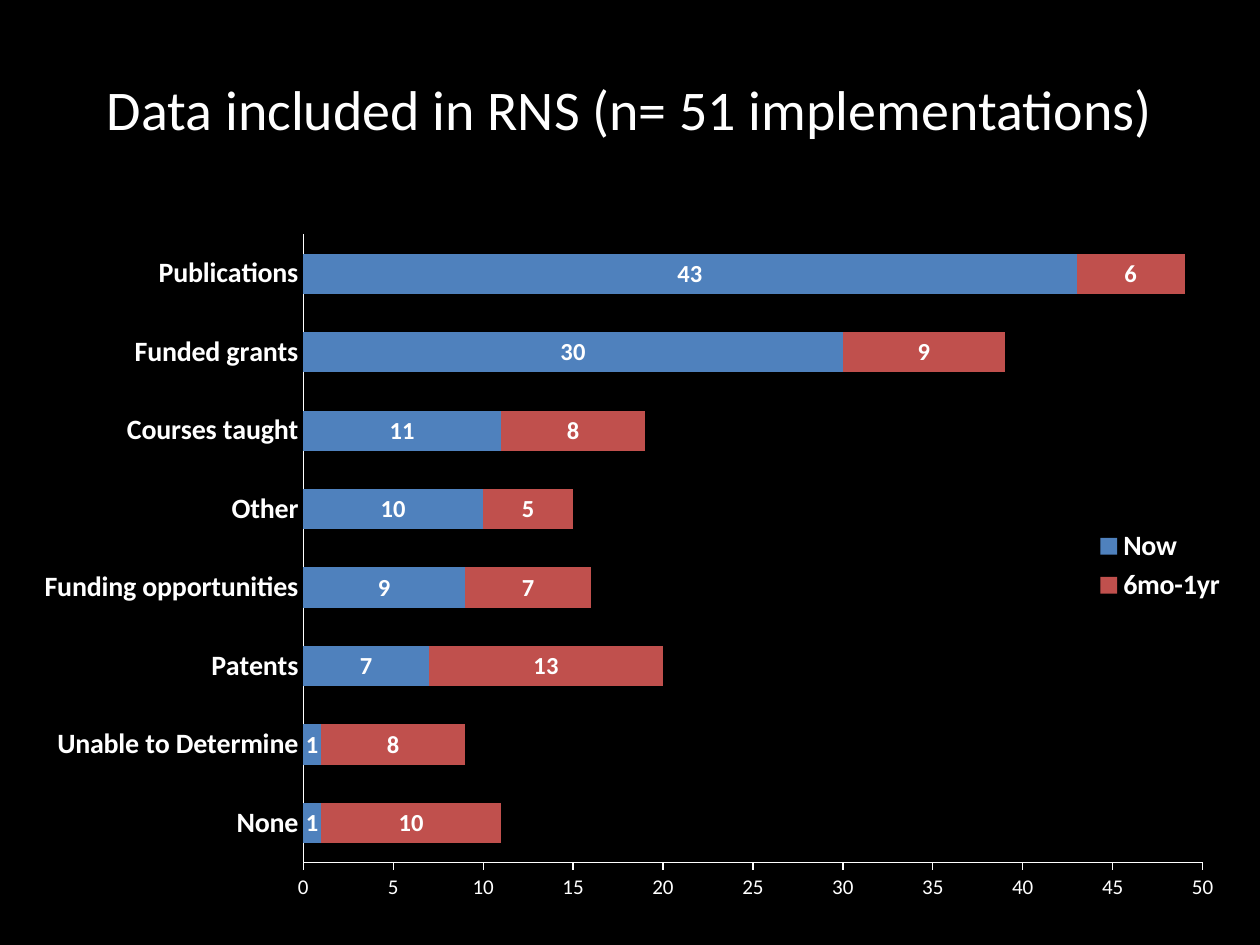
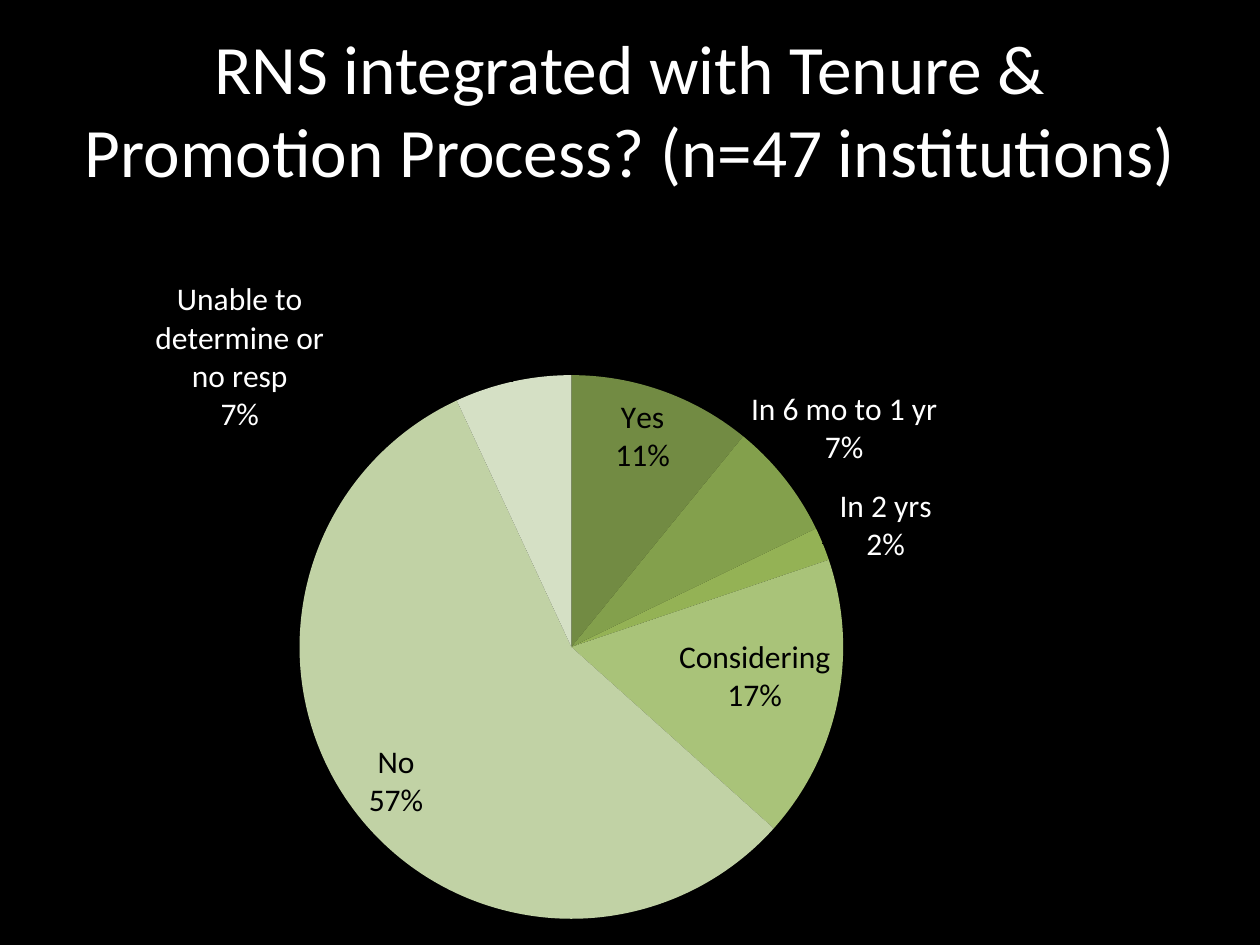
from dataclasses import dataclass

from lxml.etree import SubElement
from pptx import Presentation
from pptx.chart.data import CategoryChartData
from pptx.dml.color import RGBColor
from pptx.enum.chart import (XL_CHART_TYPE, XL_LABEL_POSITION, XL_LEGEND_POSITION,
                             XL_TICK_LABEL_POSITION, XL_TICK_MARK)
from pptx.enum.text import MSO_ANCHOR, PP_ALIGN
from pptx.oxml import parse_xml
from pptx.oxml.ns import nsdecls, qn
from pptx.util import Cm, Pt


@dataclass(frozen=True)
class Theme:
    font: str = "Calibri"
    background: RGBColor = RGBColor(0, 0, 0)
    text: RGBColor = RGBColor(255, 255, 255)
    dark_text: RGBColor = RGBColor(0, 0, 0)
    now: RGBColor = RGBColor.from_string("4F81BD")
    later: RGBColor = RGBColor.from_string("C0504D")
    greens: tuple = ("728B43", "83A04C", "94B255", "A9C379", "C1D2A5", "D5E0C5")
    long_title: float = 39.6
    title: float = 32
    pie_label: float = 18
    category: float = 16
    bar_label: float = 14
    axis: float = 12


theme = Theme()


def write_title(page, text, size, color=theme.text, align=PP_ALIGN.CENTER):
    box = page.shapes.title
    box.left, box.top, box.width, box.height = Cm(1.27), Cm(0.76), Cm(22.86), Cm(2.84)
    frame = box.text_frame
    frame.word_wrap = True
    frame.vertical_anchor = MSO_ANCHOR.MIDDLE
    para = frame.paragraphs[0]
    para.alignment = align
    span = para.add_run()
    span.text = text
    span.font.size = Pt(size)
    span.font.name = theme.font
    span.font.color.rgb = color


def place(parent, position, x, y, width=None, height=None, target=None):
    """Set a manual chart layout, in fractions of the chart."""
    for old in parent.findall(qn("c:layout")):
        parent.remove(old)
    layout = parse_xml(f"<c:layout {nsdecls('c')}/>")
    manual = SubElement(layout, qn("c:manualLayout"))
    parts = {"layoutTarget": target, "xMode": width and "edge",
             "yMode": width and "edge", "x": x, "y": y, "w": width, "h": height}
    for name, value in parts.items():
        if value is not None:
            SubElement(manual, qn(f"c:{name}")).set("val", str(value))
    parent.insert(position, layout)


# Deck with black slides
deck = Presentation()
deck.slide_width, deck.slide_height = Cm(25.4), Cm(19.05)
fill = deck.slide_master.background.fill
fill.solid()
fill.fore_color.rgb = theme.background
title_only = deck.slide_layouts[5]

# Slide 1: stacked bars of data types
page = deck.slides.add_slide(title_only)
write_title(page, "Data included in RNS (n= 51 implementations)", theme.title)
data = CategoryChartData()
data.categories = ["None", "Unable to Determine", "Patents", "Funding opportunities",
                   "Other", "Courses taught", "Funded grants", "Publications"]
data.add_series("Now", [1, 1, 7, 9, 10, 11, 30, 43])
data.add_series("6mo-1yr", [10, 8, 13, 7, 5, 8, 9, 6])
chart = page.shapes.add_chart(XL_CHART_TYPE.BAR_STACKED, Cm(0.48), Cm(4.45),
                              Cm(24.5), Cm(13.91), data).chart
chart.has_title = False
chart.font.name = theme.font
chart.font.color.rgb = theme.text
plot = chart.plots[0]
plot.gap_width, plot.overlap = 95, 100
plot.vary_by_categories = False
for series, color in zip(plot.series, (theme.now, theme.later)):
    series.format.fill.solid()
    series.format.fill.fore_color.rgb = color
    labels = series.data_labels
    labels.show_value = True
    labels.position = XL_LABEL_POSITION.CENTER
    labels.font.size, labels.font.bold = Pt(theme.bar_label), True
    labels.font.name = theme.font
    labels.font.color.rgb = theme.text

# Axes and legend of the bars
value_axis = chart.value_axis
value_axis.minimum_scale, value_axis.maximum_scale, value_axis.major_unit = 0, 50, 5
for axis, size, bold, tick in (
        (chart.category_axis, theme.category, True, XL_TICK_MARK.NONE),
        (value_axis, theme.axis, False, XL_TICK_MARK.OUTSIDE)):
    axis.has_major_gridlines = False
    axis.major_tick_mark, axis.minor_tick_mark = tick, XL_TICK_MARK.NONE
    axis.tick_label_position = XL_TICK_LABEL_POSITION.NEXT_TO_AXIS
    axis.format.line.color.rgb = theme.text
    axis.format.line.width = Pt(0.75)
    font = axis.tick_labels.font
    font.size, font.bold, font.name = Pt(size), bold, theme.font
    font.color.rgb = theme.text
chart.has_legend = True
legend = chart.legend
legend.position = XL_LEGEND_POSITION.RIGHT
legend.include_in_layout = True
legend.font.size, legend.font.bold = Pt(theme.category), True
legend.font.name = theme.font
legend.font.color.rgb = theme.text
place(legend._element, 1, 0.88, 0.44, 0.11, 0.12)
place(chart._chartSpace.chart.plotArea, 0, 0.23, 0.02, 0.74, 0.91, "inner")

# Slide 2: pie of answers, each with its label's place and shift
page = deck.slides.add_slide(title_only)
write_title(page, "RNS integrated with Tenure & Promotion Process? (n=47 institutions)",
            theme.long_title)
inside, outside = XL_LABEL_POSITION.INSIDE_END, XL_LABEL_POSITION.OUTSIDE_END
answers = [("Yes", 11, inside, 0.01, 0),
           ("In 6 mo to 1 yr", 7, outside, -0.04, -0.01),
           ("In 2 yrs", 2, outside, 0.01, 0.03),
           ("Considering", 17, inside, 0, 0.02),
           ("No", 57, inside, 0.01, 0.02),
           ("Unable to determine or no resp", 7, outside, -0.19, 0.08)]
data = CategoryChartData()
data.categories = [answer[0] for answer in answers]
data.add_series("Series 1", [answer[1] for answer in answers])
chart = page.shapes.add_chart(XL_CHART_TYPE.PIE, Cm(2.79), Cm(4.01),
                              Cm(19.84), Cm(14.81), data).chart
chart.has_title = chart.has_legend = False
chart.font.name = theme.font
chart.font.color.rgb = theme.text
series = chart.plots[0].series[0]
for index, (name, share, position, shift_x, shift_y) in enumerate(answers):
    point = series.points[index]
    point.format.fill.solid()
    point.format.fill.fore_color.rgb = RGBColor.from_string(theme.greens[index])
    label = point.data_label
    label.font.size, label.font.name = Pt(theme.pie_label), theme.font
    label.font.color.rgb = theme.dark_text if position == inside else theme.text
    label.position = position

    # Category and share on two lines
    element = series._element.findall(f"{qn('c:dLbls')}/{qn('c:dLbl')}")[index]
    element.find(qn("c:showCatName")).set("val", "1")
    element.insert(1, parse_xml(
        f"<c:numFmt {nsdecls('c')} formatCode='0\"%\"' sourceLinked='0'/>"))
    SubElement(element, qn("c:separator")).text = "\n"
    place(element, 1, shift_x, shift_y)
place(chart._chartSpace.chart.plotArea, 0, 0.16, 0.24, 0.56, 0.74, "inner")

deck.save("out.pptx")
